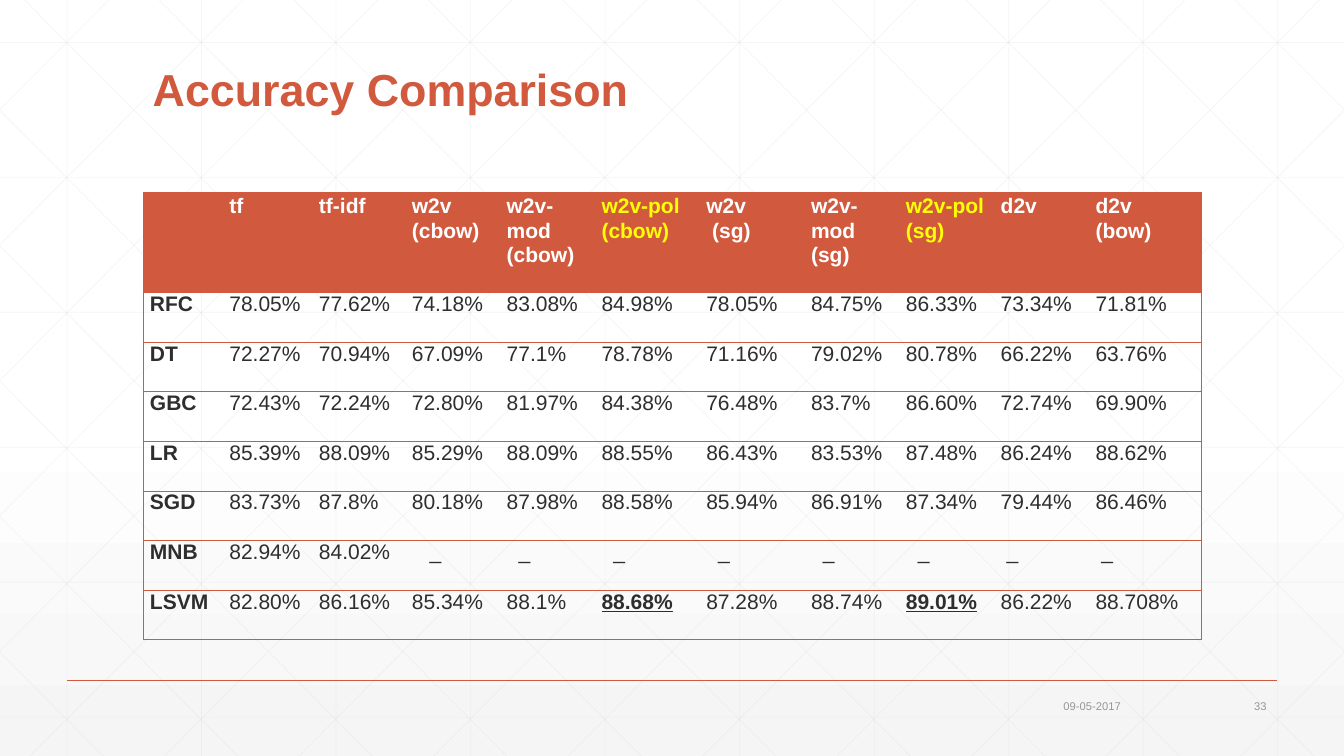
from lxml.etree import SubElement
from pptx import Presentation
from pptx.dml.color import RGBColor
from pptx.enum.shapes import MSO_CONNECTOR as Connector
from pptx.enum.text import MSO_ANCHOR as Anchor, PP_ALIGN as Align
from pptx.oxml.ns import qn
from pptx.util import Cm, Pt

WIDTH, HEIGHT = 33.87, 19.05
ACCENT = RGBColor(0xD1, 0x5A, 0x3E)
WHITE = RGBColor(0xFF, 0xFF, 0xFF)
PALE = RGBColor(0xF5, 0xF5, 0xF5)
GRID = RGBColor(0xD9, 0xD9, 0xD9)
INK = RGBColor(0x2D, 0x2E, 0x2D)
MUTED = RGBColor(0x95, 0x97, 0x95)
YELLOW = RGBColor(0xFF, 0xFF, 0x00)

NO_STYLE = "{2D5ABB26-0587-4C30-8999-92F81FD0307C}"
COLUMN_WIDTHS = [2.0, 2.26, 2.34, 2.39, 2.39, 2.64, 2.64, 2.39, 2.39, 2.39, 2.84]
HEADER_HEIGHT, ROW_HEIGHT = 2.52, 1.25
PADDING, SPACE = 0.18, 0.15
HEADERS = ["", "tf", "tf-idf", "w2v\n(cbow)", "w2v-mod\n(cbow)", "w2v-pol\n(cbow)",
           "w2v\n (sg)", "w2v-mod\n(sg)", "w2v-pol\n(sg)", "d2v", "d2v\n(bow)"]
ACCURACIES = [
    "RFC 78.05% 77.62% 74.18% 83.08% 84.98% 78.05% 84.75% 86.33% 73.34% 71.81%",
    "DT 72.27% 70.94% 67.09% 77.1% 78.78% 71.16% 79.02% 80.78% 66.22% 63.76%",
    "GBC 72.43% 72.24% 72.80% 81.97% 84.38% 76.48% 83.7% 86.60% 72.74% 69.90%",
    "LR 85.39% 88.09% 85.29% 88.09% 88.55% 86.43% 83.53% 87.48% 86.24% 88.62%",
    "SGD 83.73% 87.8% 80.18% 87.98% 88.58% 85.94% 86.91% 87.34% 79.44% 86.46%",
    "MNB 82.94% 84.02% _ _ _ _ _ _ _ _",
    "LSVM 82.80% 86.16% 85.34% 88.1% 88.68% 87.28% 88.74% 89.01% 86.22% 88.708%",
]
BEST = {"88.68%", "89.01%"}
DASH_INDENTS = {3: 3, 9: 1, 10: 1}  # in spaces; the other columns use 2


def add_line(slide, x1, y1, x2, y2, color, weight, opacity=None):
    line = slide.shapes.add_connector(Connector.STRAIGHT, Cm(x1), Cm(y1), Cm(x2), Cm(y2))
    line.line.color.rgb = color
    line.line.width = Pt(weight)
    properties = line._element.spPr
    if opacity is not None:
        SubElement(next(properties.iter(qn("a:srgbClr"))), qn("a:alpha"), val=str(opacity * 1000))
    SubElement(properties, qn("a:effectLst"))


def add_background(slide, width, height):
    fill = slide.background.fill
    fill.gradient()
    fill.gradient_angle = 270
    for stop, position, color in zip(fill.gradient_stops, (0.53, 1), (WHITE, PALE)):
        stop.position = position
        stop.color.rgb = color

    # Upright and level grid lines
    grid = [(1.69 + 3.39 * i, 0, 1.69 + 3.39 * i, height) for i in range(10)]
    grid += [(0, 1.07 + 3.4 * i, width, 1.07 + 3.4 * i) for i in range(6)]

    # Diagonals, cut off at the slide edges, and their mirror images
    run = 18.93
    slope = height / run
    for i in range(-5, 10):
        top_x = 0.62 + 3.39 * i
        x1, x2 = max(top_x, 0), min(top_x + run, width)
        y1, y2 = (x1 - top_x) * slope, (x2 - top_x) * slope
        grid += [(x1, y1, x2, y2), (width - x1, y1, width - x2, y2)]
    for ends in grid:
        add_line(slide, *ends, GRID, 0.5, opacity=25)


def add_label(slide, left, top, width, height, text, size, color,
              bold=False, anchor=Anchor.MIDDLE, align=Align.RIGHT):
    frame = slide.shapes.add_textbox(Cm(left), Cm(top), Cm(width), Cm(height)).text_frame
    frame.word_wrap = True
    frame.vertical_anchor = anchor
    label = frame.paragraphs[0]
    label.text = text
    label.alignment = align
    label.font.name, label.font.size = "Arial", Pt(size)
    label.font.bold = bold
    label.font.color.rgb = color


def add_title(slide, left, top, width, height):
    add_label(slide, left, top, width, height, "Accuracy Comparison", 32, ACCENT,
              bold=True, anchor=Anchor.BOTTOM, align=Align.LEFT)


def add_border(cell, sides):
    properties = cell._tc.get_or_add_tcPr()
    for side in sides:
        border = SubElement(properties, qn(f"a:ln{side}"), w=str(Pt(0.5)))
        fill = SubElement(border, qn("a:solidFill"))
        SubElement(fill, qn("a:srgbClr"), val=str(ACCENT))


def fill_cell(cell, text, row, column):
    is_header = row == 0
    # Outer frame and row rules
    sides = ["L"] * (column == 0) + ["R"] * (column == len(HEADERS) - 1) + ["T", "B"]
    add_border(cell, sides)
    if is_header:
        cell.fill.solid()
        cell.fill.fore_color.rgb = ACCENT
    else:
        cell.fill.background()

    indent = DASH_INDENTS.get(column, 2) if text == "_" else 0
    cell.margin_left = Cm(PADDING + SPACE * indent)
    cell.margin_right = Cm(PADDING)
    cell.margin_top = cell.margin_bottom = 0
    cell.text = text
    for paragraph in cell.text_frame.paragraphs:
        font = paragraph.font
        font.name, font.size = "Arial", Pt(15)
        font.bold = is_header or column == 0 or text in BEST
        font.underline = text in BEST
        if is_header:
            paragraph.line_spacing = 1.07
            font.color.rgb = YELLOW if text.startswith("w2v-pol") else WHITE
        else:
            font.color.rgb = INK


def add_accuracy_table(slide, left, top):
    rows = [HEADERS] + [row.split() for row in ACCURACIES]
    height = HEADER_HEIGHT + ROW_HEIGHT * len(ACCURACIES)
    table = slide.shapes.add_table(len(rows), len(HEADERS), Cm(left), Cm(top),
                                   Cm(sum(COLUMN_WIDTHS)), Cm(height)).table
    table.horz_banding = False
    next(table._tbl.iter(qn("a:tableStyleId"))).text = NO_STYLE
    for column, width in zip(table.columns, COLUMN_WIDTHS):
        column.width = Cm(width)
    for r, row in enumerate(rows):
        table.rows[r].height = Cm(ROW_HEIGHT if r else HEADER_HEIGHT)
        for c, text in enumerate(row):
            fill_cell(table.cell(r, c), text, r, c)


def add_footer(slide, left, top, width):
    add_line(slide, left, top, left + width, top, ACCENT, 1)
    right = left + width
    add_label(slide, right - 6.36, top + 0.33, 2.69, 0.61, "09-05-2017", 8, MUTED)
    add_label(slide, right - 2.54, top + 0.33, 2.54, 0.61, "33", 8, MUTED)


def main():
    deck = Presentation()
    deck.slide_width, deck.slide_height = Cm(WIDTH), Cm(HEIGHT)
    slide = deck.slides.add_slide(deck.slide_layouts[6])
    add_background(slide, WIDTH, HEIGHT)
    add_title(slide, 3.6, 0.53, 26.67, 2.51)
    add_accuracy_table(slide, 3.6, 4.85)
    add_footer(slide, 1.69, 17.15, 30.48)
    deck.save("out.pptx")


if __name__ == "__main__":
    main()
